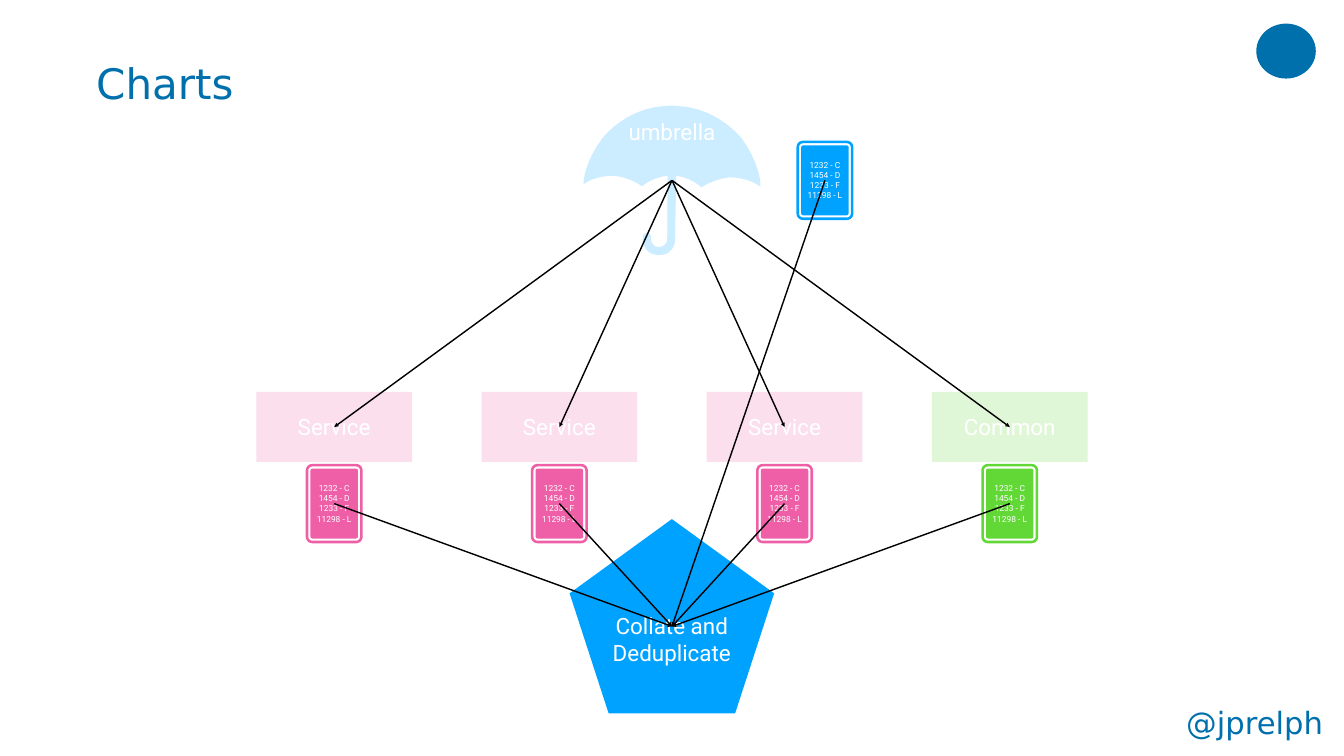
import math
from lxml import etree
from pptx import Presentation, util as u
from pptx.dml.color import RGBColor
from pptx.enum import shapes, text
from pptx.oxml.ns import qn

Cm = u.Cm

# Content; all lengths in cm
COLORS = {"title": "0070AD", "blue": "00A2FF", "pink": "EF5FA7",
          "green": "61D836", "white": "FFFFFF", "black": "000000"}
TITLE, HANDLE, UMBRELLA = "Charts", "@jprelph", "umbrella"
CHARTS = [("Service", "pink"), ("Service", "pink"),
          ("Service", "pink"), ("Common", "green")]
CARD_LINES = ["1232 - C", "1454 - D", "1233 - F", "11298 - L"]
COLLATE_LINES = ["Collate and", "Deduplicate"]

# Layout
SLIDE_W, SLIDE_H = 67.74, 38.1
MID_X = SLIDE_W / 2
PITCH = 11.35
BOX_W, BOX_H, BOX_Y = 7.85, 3.53, 21.52
CARD_W, CARD_H, CARD_Y = 2.87, 4.0, 25.38
CARD_RINGS = [(0, 0.33), (0.13, 0.2), (0.24, 0.1)]  # inset, corner radius
ROOT_HUB, ROOT_CARD = (MID_X, 9.09), (41.58, 9.09)
COLLATE_HUB = (MID_X, 31.57)

# Umbrella outline from its top left: a point is a line, three points a curve
UMBRELLA_AT = (29.41, 5.33)
UMBRELLA_OUTLINE = [
    # left half of the canopy
    [(4.45, 0)], [(4.22, 0)],
    [(2.11, 0.08), (0.94, 1.65), (0.94, 1.65)],
    [(-0.05, 3), (0, 3.96), (0, 3.96)],
    [(0, 3.96), (0.48, 3.53), (1.52, 3.53)],
    [(1.52, 3.53), (2.29, 3.58), (2.95, 4.06)],
    [(2.95, 4.06), (3.45, 3.61), (4.24, 3.53)],
    # handle
    [(4.22, 6.63)],
    [(4.22, 6.81), (4.17, 6.93), (4.09, 7.01)],
    [(3.99, 7.11), (3.86, 7.11), (3.81, 7.11)],
    [(3.66, 7.11), (3.56, 7.06), (3.51, 6.99)],
    [(3.38, 6.86), (3.4, 6.65), (3.4, 6.65)],
    [(3.43, 6.53), (3.33, 6.43), (3.23, 6.43)],
    [(3.1, 6.4), (3, 6.48), (3, 6.6)],
    [(2.97, 6.65), (2.95, 7.01), (3.18, 7.26)],
    [(3.33, 7.44), (3.53, 7.52), (3.81, 7.52)],
    [(3.91, 7.52), (4.17, 7.52), (4.37, 7.32)],
    [(4.55, 7.16), (4.62, 6.93), (4.62, 6.65)],
    # right half of the canopy
    [(4.67, 3.53)],
    [(5.46, 3.63), (5.94, 4.11), (5.94, 4.11)],
    [(6.63, 3.66), (7.39, 3.61), (7.39, 3.61)],
    [(8.43, 3.63), (8.92, 4.09), (8.92, 4.09)],
    [(8.92, 4.09), (8.99, 3.12), (8.03, 1.73)],
    [(8.03, 1.73), (6.81, 0.03), (4.57, 0)],
]


def rgb(name):
    return RGBColor.from_string(COLORS[name])


def write(shape, lines, size, color="white", font="Roboto",
          align=text.PP_ALIGN.CENTER, margin=0, **frame_format):
    frame = shape.text_frame
    sides = ("left", "top", "right", "bottom")
    settings = {"word_wrap": True, "auto_size": text.MSO_AUTO_SIZE.NONE,
                "vertical_anchor": text.MSO_ANCHOR.MIDDLE,
                **{f"margin_{side}": Cm(margin) for side in sides},
                **frame_format}
    for key, value in settings.items():
        setattr(frame, key, value)
    frame.text = "\n".join(lines)
    for paragraph in frame.paragraphs:
        paragraph.alignment = align
        run_font = paragraph.runs[0].font
        for key, value in {"size": u.Pt(size), "name": font, "bold": False}.items():
            setattr(run_font, key, value)
        run_font.color.rgb = rgb(color)


def paint(shape, color, alpha=None):
    shape.shadow.inherit = False
    shape.fill.solid()
    shape.fill.fore_color.rgb = rgb(color)
    shape.line.fill.background()
    if alpha:
        fill_color = shape._element.spPr.find(".//" + qn("a:srgbClr"))
        etree.SubElement(fill_color, qn("a:alpha"), val=str(alpha * 1000))
    return shape


def outline(slide, contours):
    """One freeform from closed contours; inner contours cut holes."""
    contours = [[(Cm(x), Cm(y)) for x, y in points] for points in contours]
    builder = slide.shapes.build_freeform(*contours[0][0])
    for i, points in enumerate(contours):
        if i:
            builder.move_to(*points[0])
        builder.add_line_segments(points[1:], close=True)
    return builder.convert_to_shape()


def curve_points(segments, origin, steps=10):
    points = [segments[0][0]]
    for segment in segments[1:]:
        if len(segment) == 1:
            points.append(segment[0])
            continue
        controls = [points[-1], *segment]
        for step in range(1, steps + 1):
            t = step / steps
            weights = [math.comb(3, k) * t**k * (1 - t)**(3 - k) for k in range(4)]
            points.append(tuple(sum(w * c[axis] for w, c in zip(weights, controls))
                                for axis in (0, 1)))
    return [(origin[0] + x, origin[1] + y) for x, y in points]


def rounded_rect(cx, cy, w, h, radius, steps=6):
    points = []
    for corner, (sx, sy) in enumerate([(1, 1), (-1, 1), (-1, -1), (1, -1)]):
        for step in range(steps + 1):
            angle = (corner + step / steps) * math.pi / 2
            points.append((cx + sx * (w / 2 - radius) + radius * math.cos(angle),
                           cy + sy * (h / 2 - radius) + radius * math.sin(angle)))
    return points


def add_card(slide, center, color):
    rings = [rounded_rect(*center, CARD_W - 2 * inset, CARD_H - 2 * inset, radius)
             for inset, radius in CARD_RINGS]
    write(paint(outline(slide, rings), color), CARD_LINES, 12)


def add_arrow(slide, start, end):
    arrow = slide.shapes.add_connector(shapes.MSO_CONNECTOR.STRAIGHT,
                                       *map(Cm, (*start, *end)))
    arrow.line.color.rgb = rgb("black")
    arrow.line.width = u.Pt(2)
    etree.SubElement(arrow.line._get_or_add_ln(), qn("a:tailEnd"), type="triangle")
    etree.SubElement(arrow._element.spPr, qn("a:effectLst"))


def main():
    deck = Presentation()
    deck.slide_width, deck.slide_height = Cm(SLIDE_W), Cm(SLIDE_H)
    slide = deck.slides.add_slide(deck.slide_layouts[5])
    preset = shapes.MSO_SHAPE

    # Title and handle
    title = slide.shapes.title
    place = {"left": 4.7, "top": 0.99, "width": 58.34, "height": 6.35}
    for key, value in place.items():
        setattr(title, key, Cm(value))
    handle = slide.shapes.add_textbox(*map(Cm, (59.64, 35.33, 7.85, 2.13)))
    for label, words, size in [(title, TITLE, 60), (handle, HANDLE, 43.8)]:
        write(label, [words], size, "title", "DejaVu Sans",
              text.PP_ALIGN.LEFT, 0.15)

    # Plain corner mark
    paint(slide.shapes.add_shape(preset.OVAL, *map(Cm, (63.32, 1.19, 3, 2.77))), "title")

    # Umbrella chart
    umbrella = outline(slide, [curve_points(UMBRELLA_OUTLINE, UMBRELLA_AT)])
    write(paint(umbrella, "blue", 20), [UMBRELLA], 32,
          vertical_anchor=text.MSO_ANCHOR.TOP, margin_top=Cm(0.6))

    # Charts under the umbrella
    columns = [MID_X + (i - (len(CHARTS) - 1) / 2) * PITCH for i in range(len(CHARTS))]
    for x, (name, color) in zip(columns, CHARTS):
        box = slide.shapes.add_shape(preset.RECTANGLE, *map(
            Cm, (x - BOX_W / 2, BOX_Y - BOX_H / 2, BOX_W, BOX_H)))
        write(paint(box, color, 20), [name], 32)
    for x in columns:
        add_arrow(slide, ROOT_HUB, (x, BOX_Y))

    # Number cards
    cards = [((x, CARD_Y), color) for x, (_, color) in zip(columns, CHARTS)]
    cards.append((ROOT_CARD, "blue"))
    for center, color in cards:
        add_card(slide, center, color)

    # Collating step
    collate = slide.shapes.add_shape(preset.REGULAR_PENTAGON,
                                     *map(Cm, (28.71, 26.16, 10.31, 9.8)))
    write(paint(collate, "blue"), COLLATE_LINES, 32)
    for center, _ in cards:
        add_arrow(slide, center, COLLATE_HUB)

    deck.save("out.pptx")


if __name__ == "__main__":
    main()
